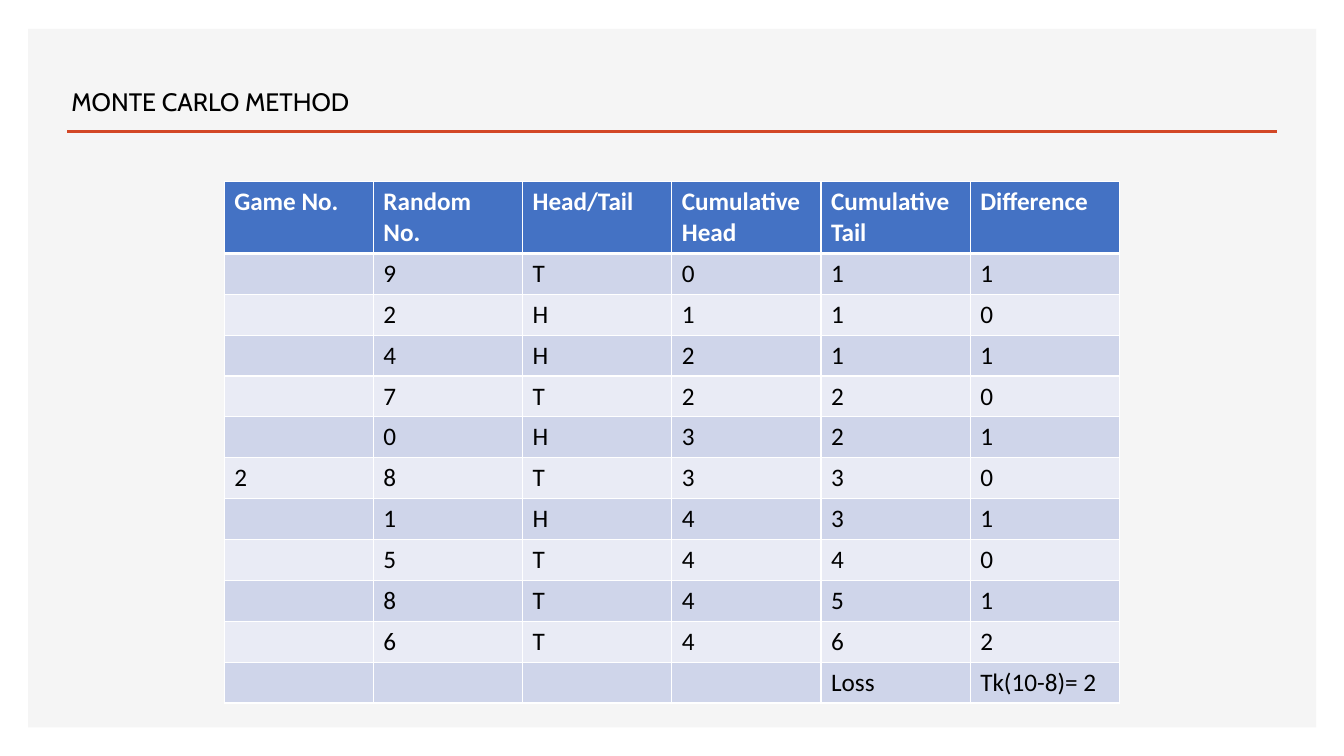
import pptx
import pptx.util
import pptx.dml.color
import pptx.enum.shapes
import pptx.oxml.ns
from lxml import etree
from pptx.util import Cm, Pt

# Content
TITLE = "MONTE CARLO METHOD"
HEAD = ["Game No.", "Random No.", "Head/Tail", "Cumulative\nHead",
        "Cumulative\nTail", "Difference"]
ROWS = [
    ["", "9", "T", "0", "1", "1"],
    ["", "2", "H", "1", "1", "0"],
    ["", "4", "H", "2", "1", "1"],
    ["", "7", "T", "2", "2", "0"],
    ["", "0", "H", "3", "2", "1"],
    ["2", "8", "T", "3", "3", "0"],
    ["", "1", "H", "4", "3", "1"],
    ["", "5", "T", "4", "4", "0"],
    ["", "8", "T", "4", "5", "1"],
    ["", "6", "T", "4", "6", "2"],
    ["", "", "", "", "Loss", "Tk(10-8)= 2"],
]
COLORS = {"panel": "F5F5F5", "rule": "D24726", "head": "4472C4",
          "odd": "CFD5EA", "even": "E9EBF5", "white": "FFFFFF", "text": "000000"}


def color(name):
    return pptx.dml.color.RGBColor.from_string(COLORS[name])


def style(para, face, tint, bold=False):
    para.font.name, para.font.size, para.font.bold = face, Pt(18), bold
    para.font.color.rgb = color(tint)


def add_edges(cell, top, low):
    props = cell._tc.get_or_add_tcPr()
    sides = {"lnL": 1, "lnR": 1, "lnT": top, "lnB": low}
    for place, (side, width) in enumerate(sides.items()):
        line = etree.Element(pptx.oxml.ns.qn("a:" + side), w=str(Pt(width)))
        fill = etree.SubElement(line, pptx.oxml.ns.qn("a:solidFill"))
        etree.SubElement(fill, pptx.oxml.ns.qn("a:srgbClr"), val=COLORS["white"])
        props.insert(place, line)


def main():
    deck = pptx.Presentation()
    deck.slide_width, deck.slide_height = Cm(33.87), Cm(19.05)
    slide = deck.slides.add_slide(deck.slide_layouts[6])
    shapes = slide.shapes

    # Background panel
    panel = shapes.add_shape(pptx.enum.shapes.MSO_SHAPE.RECTANGLE,
                             Cm(0.71), Cm(0.73), Cm(32.46), Cm(17.6))
    panel.shadow.inherit = False
    panel.fill.solid()
    panel.fill.fore_color.rgb = color("panel")
    panel.line.fill.background()

    # Rule under the title
    rule = shapes.add_connector(pptx.enum.shapes.MSO_CONNECTOR.STRAIGHT,
                                Cm(1.69), Cm(3.32), Cm(32.18), Cm(3.32))
    rule.line.color.rgb = color("rule")
    rule.line.width = Pt(2)
    etree.SubElement(rule._element.spPr, pptx.oxml.ns.qn("a:effectLst"))

    # Table
    tall, row_high, col_wide = 1.78, 1.03, 3.76
    table = shapes.add_table(len(ROWS) + 1, len(HEAD), Cm(5.65), Cm(4.58),
                             Cm(col_wide * len(HEAD)),
                             Cm(tall + row_high * len(ROWS))).table
    for col in table.columns:
        col.width = Cm(col_wide)
    for r, values in enumerate([HEAD] + ROWS):
        first = r == 0
        table.rows[r].height = Cm(tall if first else row_high)
        shade = "head" if first else "odd" if r % 2 else "even"
        for c, value in enumerate(values):
            cell = table.cell(r, c)
            cell.text = value
            cell.fill.solid()
            cell.fill.fore_color.rgb = color(shade)
            add_edges(cell, 3 if r == 1 else 1, 3 if first else 1)
            for para in cell.text_frame.paragraphs:
                style(para, "Calibri", "white" if first else "text", first)

    # Title
    frame = shapes.add_textbox(Cm(1.55), Cm(2.06), Cm(16.94), Cm(1.03)).text_frame
    frame.word_wrap = True
    frame.text = TITLE
    style(frame.paragraphs[0], "Cabin", "text")

    deck.save("out.pptx")


if __name__ == "__main__":
    main()
